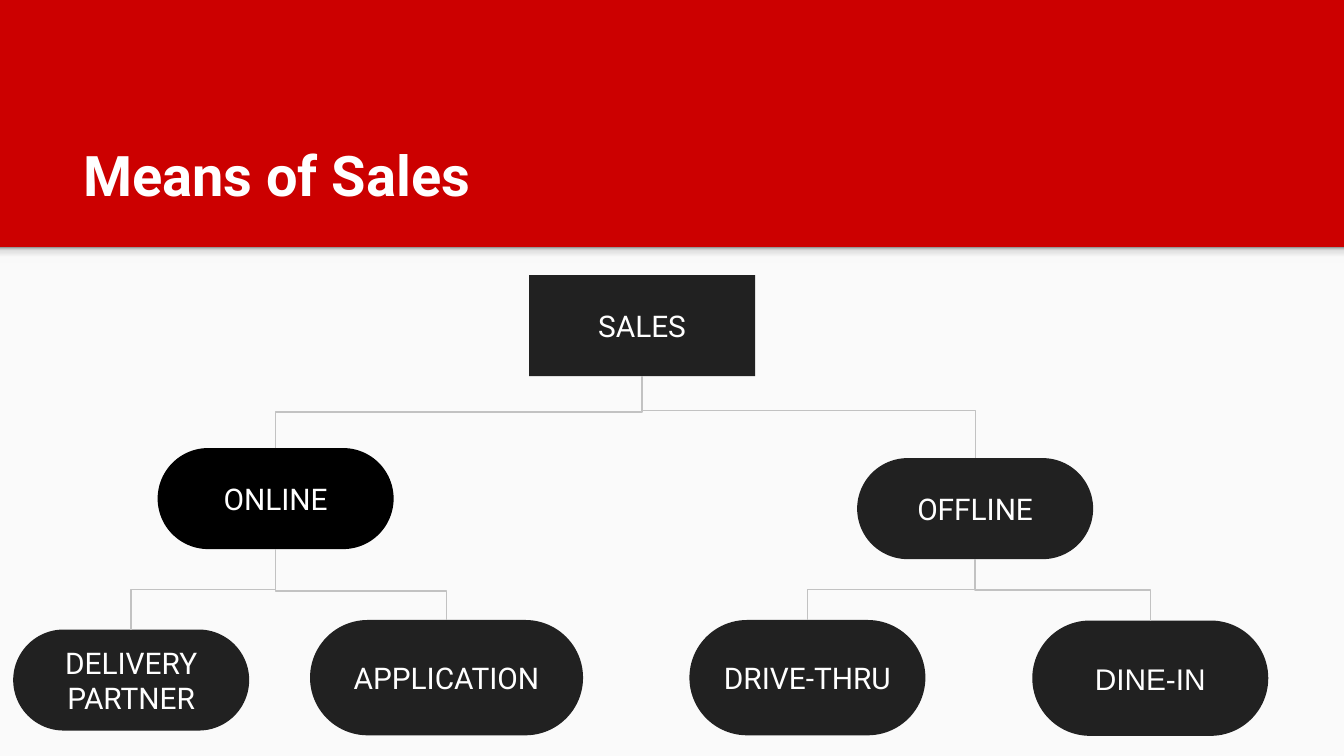
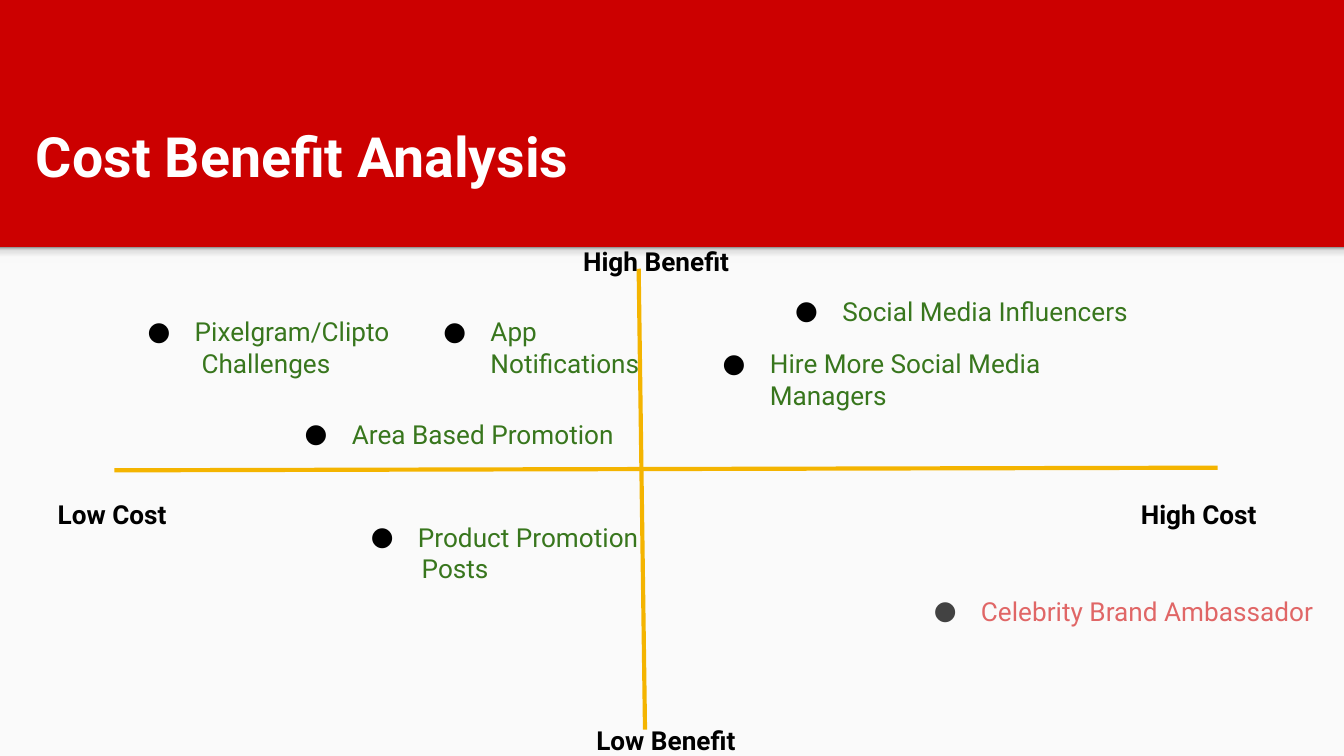
from collections import namedtuple

from pptx import Presentation
from pptx.dml.color import RGBColor
from pptx.enum.shapes import MSO_CONNECTOR, MSO_SHAPE
from pptx.enum.text import MSO_ANCHOR, PP_ALIGN
from pptx.oxml import parse_xml
from pptx.oxml.ns import nsdecls, qn
from pptx.util import Cm, Pt

RECT, ROUND = MSO_SHAPE.RECTANGLE, MSO_SHAPE.ROUNDED_RECTANGLE
STRAIGHT, ELBOW = MSO_CONNECTOR.STRAIGHT, MSO_CONNECTOR.ELBOW
TOP, MIDDLE, BOTTOM = MSO_ANCHOR.TOP, MSO_ANCHOR.MIDDLE, MSO_ANCHOR.BOTTOM
LEFT, CENTER = PP_ALIGN.LEFT, PP_ALIGN.CENTER
TOP_SITE, LOW_SITE = 0, 2

RED, PALE, WHITE, BLACK = "CC0000", "FAFAFA", "FFFFFF", "000000"
DARK, GRAY, GOLD = "212121", "C2C2C2", "F4B400"
GREEN, ROSE, SLATE = "38761D", "E06666", "424242"
FADE = ((0, "F9F9F9"), (36, "F9F9F9"), (80, "DEDEDE"), (100, "999999"))

TITLE = {"name": "Roboto", "size": Pt(30), "bold": True}
NODE = {"name": "Roboto", "size": Pt(16)}
POINT = {"name": "Roboto", "size": Pt(14)}
LABEL = {**POINT, "bold": True}
PAD = Cm(0.25)
HANG, INDENT = Cm(1.27), Cm(-0.89)

Box = namedtuple("Box", "x y w h")
PAGE = Box(0, 0, 25.4, 14.29)
PANEL = Box(0, 4.67, 25.4, 9.62)


def rgb(code):
    return RGBColor.from_string(code)


def inside(box, x, y, w, h):
    """Turn an offset within box into slide lengths."""
    return Cm(box.x + x), Cm(box.y + y), Cm(w), Cm(h)


def write(frame, lines, style, color, anchor=TOP, align=LEFT):
    frame.word_wrap = True
    frame.vertical_anchor = anchor
    for side in ("left", "top", "right", "bottom"):
        setattr(frame, f"margin_{side}", PAD)
    for i, line in enumerate(lines):
        para = frame.add_paragraph() if i else frame.paragraphs[0]
        para.text = line
        para.alignment = align
        for run in para.runs:
            for key, value in style.items():
                setattr(run.font, key, value)
            run.font.color.rgb = rgb(color)


def add_text(slide, spot, lines, style, color, anchor=TOP):
    frame = slide.shapes.add_textbox(*spot).text_frame
    write(frame, lines, style, color, anchor)
    return frame


def add_block(slide, kind, spot, color=None):
    block = slide.shapes.add_shape(kind, *spot)
    block.shadow.inherit = False
    block.line.fill.background()
    if color:
        block.fill.solid()
        block.fill.fore_color.rgb = rgb(color)
    return block


def add_line(slide, kind, ends, color, width):
    line = slide.shapes.add_connector(kind, *ends)
    line.line.color.rgb = rgb(color)
    line.line.width = Pt(width)
    line._element.spPr.append(parse_xml(f"<a:effectLst {nsdecls('a')}/>"))
    return line


def add_base(prs, title, spot, size):
    """Add a slide with the red band, the pale panel and its title."""
    slide = prs.slides.add_slide(prs.slide_layouts[6])
    slide.background.fill.solid()
    slide.background.fill.fore_color.rgb = rgb(RED)
    add_block(slide, RECT, inside(PANEL, 0, 0, PANEL.w, PANEL.h), PALE)
    strip = add_block(slide, RECT, inside(PANEL, 0, 0, PANEL.w, 0.31))
    stops = "".join(f'<a:gs pos="{at * 1000}"><a:srgbClr val="{code}"/></a:gs>'
                    for at, code in FADE)
    strip._element.spPr.insert(2, parse_xml(
        f"<a:gradFill {nsdecls('a')}><a:gsLst>{stops}</a:gsLst>"
        '<a:lin ang="16200000" scaled="0"/></a:gradFill>'))
    add_text(slide, inside(PAGE, *spot), [title],
             {**TITLE, "size": Pt(size)}, WHITE, BOTTOM)
    return slide


def link(slide, one, two, bend=0.5):
    """Join two nodes, left one first, by a line that leaves vertically."""
    down = one.top < two.top
    sites = (LOW_SITE, TOP_SITE) if down else (TOP_SITE, LOW_SITE)
    (x1, y1), (x2, y2) = [
        (node.left + node.width // 2,
         node.top + (node.height if site == LOW_SITE else 0))
        for node, site in zip((one, two), sites)]
    line = add_line(slide, ELBOW, (x1, y1, x2, y2), GRAY, 0.75)
    line.begin_connect(one, sites[0])
    line.end_connect(two, sites[1])
    wide, high = x2 - x1, abs(y2 - y1)
    place = {"left": (x1 + x2 - high) // 2, "top": (y1 + y2 - wide) // 2,
             "width": high, "height": wide}
    for key, value in place.items():
        setattr(line, key, value)
    frame = line._element.spPr.find(qn("a:xfrm"))
    for key, value in {"rot": "16200000", "flipH": str(int(down)),
                       "flipV": "0"}.items():
        frame.set(key, value)
    line._element.spPr.find(qn("a:prstGeom")).find(qn("a:avLst")).append(
        parse_xml(f'<a:gd {nsdecls("a")} name="adj1" '
                  f'fmla="val {round(bend * 100000)}"/>'))


def add_tree(slide, box):
    nodes = {}
    for name, x, y, w, h in (
            ("SALES", 10, 0.53, 4.27, 1.91),
            ("OFFLINE", 16.2, 3.99, 4.46, 1.91),
            ("ONLINE", 2.98, 3.8, 4.46, 1.91),
            ("DELIVERY PARTNER", 0.25, 7.23, 4.46, 1.91),
            ("APPLICATION", 5.86, 7.05, 5.16, 2.18),
            ("DRIVE-THRU", 13.03, 7.05, 4.46, 2.18),
            ("DINE-IN", 19.51, 7.06, 4.46, 2.18)):
        color = BLACK if name == "ONLINE" else DARK
        node = add_block(slide, ROUND, inside(box, x, y, w, h), color)
        node.adjustments[0] = 0 if name == "SALES" else 0.5
        style = {**NODE, "name": "Arial"} if name == "DINE-IN" else NODE
        write(node.text_frame, [name], style, WHITE, MIDDLE, CENTER)
        nodes[name] = node
    for one, two, bend in (
            ("SALES", "OFFLINE", 0.42), ("ONLINE", "SALES", 0.5),
            ("ONLINE", "APPLICATION", 0.59),
            ("DELIVERY PARTNER", "ONLINE", 0.5),
            ("OFFLINE", "DINE-IN", 0.5), ("DRIVE-THRU", "OFFLINE", 0.5)):
        link(slide, nodes[one], nodes[two], bend)


def add_axes(slide, box):
    for x1, y1, x2, y2 in ((12.07, 0.41, 12.19, 9.12),
                           (2.16, 4.22, 23.01, 4.17)):
        ends = [Cm(box.x + x1), Cm(box.y + y1), Cm(box.x + x2), Cm(box.y + y2)]
        add_line(slide, STRAIGHT, ends, GOLD, 2.25)
    for name, x, y, w in (
            ("High Benefit", 10.77, -0.28, 12.5),
            ("Low Benefit", 11.02, 8.77, 13.94),
            ("High Cost", 21.31, 4.5, 3.66),
            ("Low Cost", 0.84, 4.5, 3.66)):
        add_text(slide, inside(box, x, y, w, 1.12), [name], LABEL, BLACK)


def add_points(slide, box):
    for lines, x, y, w, tail, color, dot in (
            (["Celebrity Brand Ambassador"], 17.02, 6.33, 8.18, 0, ROSE, SLATE),
            (["Pixelgram/Clipto", "Challenges"],
             2.16, 1.05, 17.2, 1.4, GREEN, BLACK),
            (["Social Media Influencers"], 14.4, 0.66, 10.8, 0, GREEN, BLACK),
            (["Product Promotion", "Posts"],
             6.38, 4.93, 17.35, 1.34, GREEN, BLACK),
            (["Hire More Social Media", "Managers"],
             13.03, 1.65, 12.37, 1.27, GREEN, BLACK),
            (["Area Based Promotion"], 5.13, 2.98, 18.11, 0, GREEN, BLACK),
            (["App\vNotifications"], 7.75, 1.05, 16.2, 0, GREEN, BLACK)):
        high = 1.7 if tail or "\v" in lines[0] else 1.12
        frame = add_text(slide, inside(box, x, y, w, high), lines, POINT, color)
        first, *rest = [para._p.get_or_add_pPr() for para in frame.paragraphs]
        first.set("marL", str(HANG))
        first.set("indent", str(INDENT))
        for xml in (f'<a:buClr {nsdecls("a")}><a:srgbClr val="{dot}"/></a:buClr>',
                    f'<a:buFont {nsdecls("a")} typeface="Roboto"/>',
                    f'<a:buChar {nsdecls("a")} char="●"/>'):
            first.append(parse_xml(xml))
        for more in rest:
            more.set("marL", str(Cm(tail)))
            more.set("indent", "0")


def main():
    prs = Presentation()
    prs.slide_width, prs.slide_height = Cm(PAGE.w), Cm(PAGE.h)
    means = add_base(prs, "Means of Sales", (1.32, 1.68, 8.94, 2.49), 30)
    add_tree(means, PANEL)
    costs = add_base(prs, "Cost Benefit Analysis",
                     (0.43, 1.68, 22.83, 2.13), 29.7)
    add_axes(costs, PANEL)
    add_points(costs, PANEL)
    prs.save("out.pptx")


if __name__ == "__main__":
    main()
